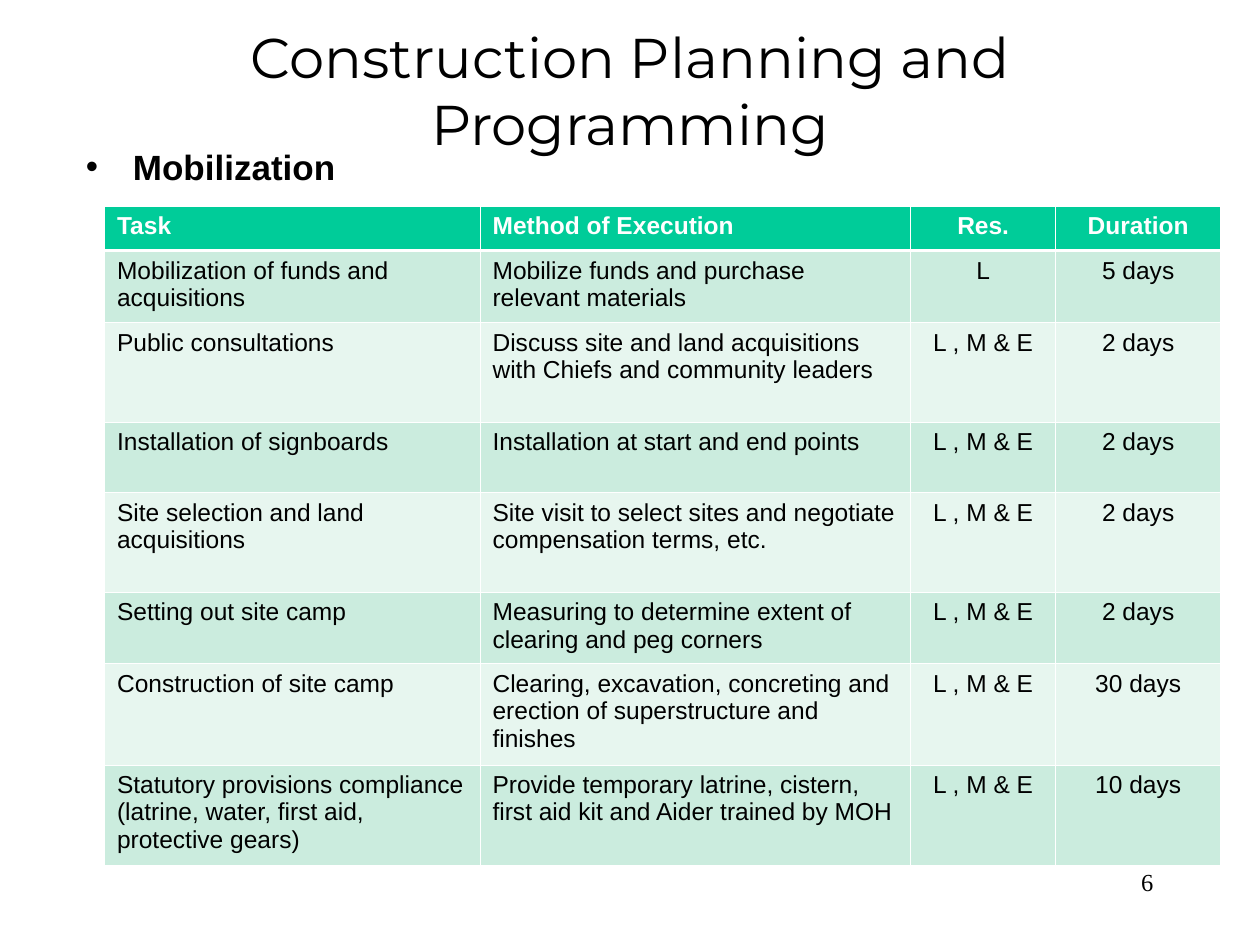
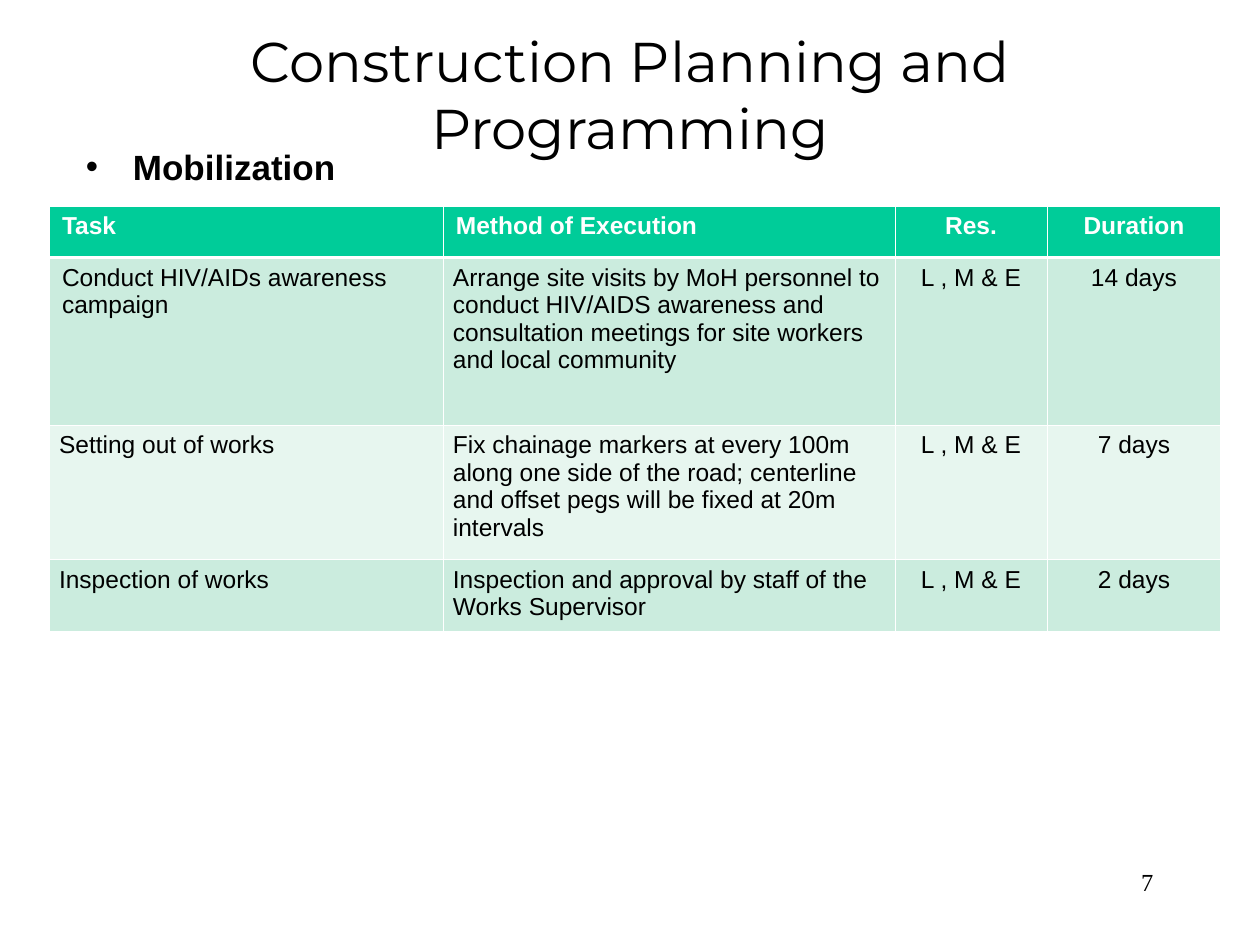
"""Build the two mobilization slides of a construction planning deck."""
from lxml import etree
from pptx import Presentation
from pptx.dml.color import RGBColor
from pptx.enum.text import MSO_ANCHOR, PP_ALIGN
from pptx.oxml.ns import qn
from pptx.util import Cm, Pt

LEFT, CENTER, RIGHT = PP_ALIGN.LEFT, PP_ALIGN.CENTER, PP_ALIGN.RIGHT
TOP, MIDDLE = MSO_ANCHOR.TOP, MSO_ANCHOR.MIDDLE

BLACK = RGBColor(0x00, 0x00, 0x00)
WHITE = RGBColor(0xFF, 0xFF, 0xFF)
HEADER_GREEN = RGBColor(0x00, 0xCC, 0x99)
BAND_COLOURS = RGBColor(0xCB, 0xEC, 0xDE), RGBColor(0xE7, 0xF6, 0xEF)

BODY_FONT, TITLE_FONT, NUMBER_FONT = "Arial", "Montserrat", "Times New Roman"
TITLE_ONLY = 5
THIN, THICK = Pt(0.45), Pt(1.47)
CELL_INSET, TIGHT_INSET = 0.25, 0.19
CREW = "L , M & E"
TITLE = "Construction Planning and Programming"
HEADINGS = ("Task", "Method of Execution", "Res.", "Duration")
ALIGNMENTS = (LEFT, LEFT, CENTER, CENTER)

FIRST_TASKS = [
    ("Mobilization of funds and acquisitions",
     "Mobilize funds and purchase relevant materials", "L", "5 days"),
    ("Public consultations",
     "Discuss site and land acquisitions with Chiefs and community leaders", CREW, "2 days"),
    ("Installation of signboards", "Installation at start and end points", CREW, "2 days"),
    ("Site selection and land acquisitions",
     "Site visit to select sites and negotiate compensation terms, etc.", CREW, "2 days"),
    ("Setting out site camp",
     "Measuring to determine extent of clearing and peg corners", CREW, "2 days"),
    ("Construction of site camp",
     "Clearing, excavation, concreting and erection of superstructure and finishes",
     CREW, "30 days"),
    ("Statutory provisions compliance (latrine, water, first aid, protective gears)",
     "Provide temporary latrine, cistern, first aid kit and Aider trained by MOH",
     CREW, "10 days"),
]
LAST_TASKS = [
    ("Conduct HIV/AIDs awareness campaign",
     "Arrange site visits by MoH personnel to conduct HIV/AIDS awareness and "
     "consultation meetings for site workers and local community", CREW, "14 days"),
    ("Setting out of works",
     "Fix chainage markers at every 100m along one side of the road; centerline "
     "and offset pegs will be fixed at 20m intervals", CREW, "7 days"),
    ("Inspection of works",
     "Inspection and approval by staff of the Works Supervisor", CREW, "2 days"),
]


def add_bullet(para, colour, indent):
    """Give the paragraph a hanging round bullet."""
    properties = para._p.get_or_add_pPr()
    properties.set("marL", str(indent))
    properties.set("indent", str(-indent))
    bullet_colour = etree.SubElement(properties, qn("a:buClr"))
    etree.SubElement(bullet_colour, qn("a:srgbClr"), val=str(colour))
    etree.SubElement(properties, qn("a:buFont"), typeface="Arial")
    etree.SubElement(properties, qn("a:buChar"), char="•")


def write_text(frame, text, size=14, font=BODY_FONT, colour=BLACK, bold=False,
               align=LEFT, anchor=TOP, bullet_indent=None):
    """Write one formatted paragraph into a text frame."""
    frame.word_wrap = True
    frame.vertical_anchor = anchor
    para = frame.paragraphs[0]
    para.alignment = align
    para.line_spacing = 1.0
    if bullet_indent:
        add_bullet(para, colour, bullet_indent)
    span = para.add_run()
    span.text = text
    span.font.size = Pt(size)
    span.font.name = font
    span.font.bold = bold
    span.font.color.rgb = colour


def add_title(page, left, top, width, height):
    """Place and format the title placeholder."""
    title = page.shapes.title
    title.left, title.top, title.width, title.height = map(Cm, (left, top, width, height))
    write_text(title.text_frame, TITLE, size=32, font=TITLE_FONT, align=CENTER, anchor=MIDDLE)


def add_text_box(page, left, top, width, height, text, **text_format):
    """Add a text box holding one paragraph."""
    box = page.shapes.add_textbox(*map(Cm, (left, top, width, height)))
    write_text(box.text_frame, text, **text_format)


def set_borders(cell, row):
    """Draw white cell borders, with a thick rule beneath the header row."""
    widths = {"L": THIN, "R": THIN,
              "T": THICK if row == 1 else THIN,
              "B": THICK if row == 0 else THIN}
    properties = cell._tc.get_or_add_tcPr()
    for side, width in widths.items():
        line = etree.SubElement(properties, qn(f"a:ln{side}"), w=str(width))
        fill = etree.SubElement(line, qn("a:solidFill"))
        etree.SubElement(fill, qn("a:srgbClr"), val=str(WHITE))


def add_task_table(page, left, top, widths, heights, tasks, tight_cells=()):
    """Add the banded task table; tight cells get narrower side margins."""
    rows = [HEADINGS, *tasks]
    frame = page.shapes.add_table(len(rows), len(widths), Cm(left), Cm(top),
                                  Cm(sum(widths)), Cm(sum(heights)))
    table = frame.table
    table.first_row = table.horz_banding = False
    for column, width in zip(table.columns, widths):
        column.width = Cm(width)
    for row, (texts, height) in enumerate(zip(rows, heights)):
        table.rows[row].height = Cm(height)
        header = row == 0
        for column, text in enumerate(texts):
            cell = table.cell(row, column)
            set_borders(cell, row)
            cell.fill.solid()
            cell.fill.fore_color.rgb = HEADER_GREEN if header else BAND_COLOURS[(row - 1) % 2]
            inset = TIGHT_INSET if (row, column) in tight_cells else CELL_INSET
            cell.margin_left = cell.margin_right = Cm(inset)
            write_text(cell.text_frame, text, bold=header, align=ALIGNMENTS[column],
                       colour=WHITE if header else BLACK)


def add_task_page(deck, number, title_top, **table_format):
    """Add one slide with title, bullet, task table and page number."""
    page = deck.slides.add_slide(deck.slide_layouts[TITLE_ONLY])
    add_text_box(page, 18.2, 17.35, 5.3, 1.27, str(number), font=NUMBER_FONT, align=RIGHT)
    add_title(page, 1.9, title_top, 21.6, 2.34)
    add_text_box(page, 1.48, 2.8, 23.06, 1.1, "Mobilization", size=20, bold=True,
                 bullet_indent=Cm(0.95))
    add_task_table(page, top=4.16, **table_format)


def main():
    """Build and save the deck."""
    deck = Presentation()
    deck.slide_width, deck.slide_height = Cm(25.4), Cm(19.05)
    add_task_page(deck, 6, 0.64, left=2.11, widths=(7.57, 8.68, 2.92, 3.33),
                  heights=(0.89, 1.45, 2.01, 1.42, 2.01, 1.44, 2.04, 2.03),
                  tasks=FIRST_TASKS)
    add_task_page(deck, 7, 0.72, left=1.0, widths=(7.94, 9.1, 3.07, 3.5),
                  heights=(1.03, 3.38, 2.71, 1.36), tasks=LAST_TASKS,
                  tight_cells={(1, 1), (2, 0), (2, 1), (3, 0), (3, 1)})
    deck.save("out.pptx")


if __name__ == "__main__":
    main()
